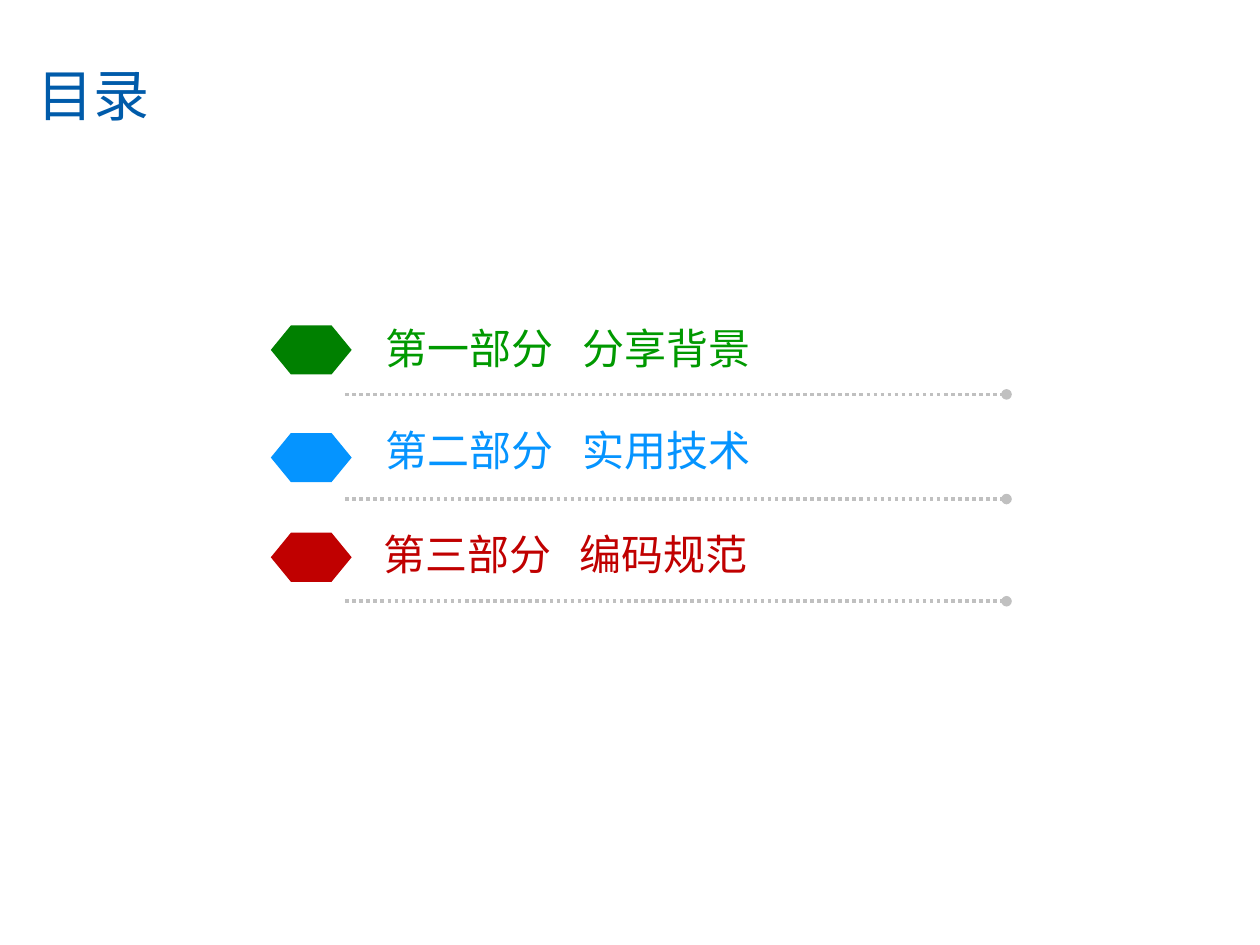
import pptx
import pptx.util
import pptx.dml.color
import pptx.enum.dml
import pptx.enum.shapes
import pptx.enum.text
import pptx.oxml

Cm = pptx.util.Cm
Pt = pptx.util.Pt
RGB = pptx.dml.color.RGBColor
NS = 'xmlns:a="http://schemas.openxmlformats.org/drawingml/2006/main"'

NAVY = RGB(0x00, 0x5B, 0xAA)
GRAY = RGB(0xC0, 0xC0, 0xC0)
GREEN = RGB(0x00, 0x80, 0x00)
LIME = RGB(0x00, 0x99, 0x00)
BLUE = RGB(0x05, 0x94, 0xFF)
RED = RGB(0xC0, 0x00, 0x00)
CJK = "Noto Sans CJK SC"

# Part, topic, fill, text colour, then hexagon top, text left, text top, rule height (cm)
ROWS = [
    ("第一部分", "分享背景", GREEN, LIME, 6.56, 6.96, 6.38, 7.95),
    ("第二部分", "实用技术", BLUE, BLUE, 8.73, 6.96, 8.43, 10.06),
    ("第三部分", "编码规范", RED, RED, 10.74, 6.91, 10.52, 12.12),
]


def xml(text):
    return pptx.oxml.parse_xml(text)


def label(slide, text, box, size, color, font, inset=0.25, tab=None):
    """Add a one-line text box, with an optional tab stop."""
    shape = slide.shapes.add_textbox(*(Cm(v) for v in box))
    frame = shape.text_frame
    frame.word_wrap = True
    frame.margin_left = Cm(inset)
    frame.text = text
    para = frame.paragraphs[0]
    if tab:
        stops = f'<a:tabLst {NS}><a:tab pos="{Cm(tab)}" algn="l"/></a:tabLst>'
        para._p.get_or_add_pPr().append(xml(stops))
    for run in para.runs:
        run.font.size = Pt(size)
        run.font.color.rgb = color
        run.font.name = font
        run._r.get_or_add_rPr().append(xml(f'<a:ea {NS} typeface="{CJK}"/>'))
    return frame


def hexagon(slide, top, color):
    kind = pptx.enum.shapes.MSO_SHAPE.HEXAGON
    shape = slide.shapes.add_shape(kind, Cm(5.46), Cm(top), Cm(1.63), Cm(0.99))
    shape.adjustments[0] = 0.41
    shape.shadow.inherit = False
    shape.fill.solid()
    shape.fill.fore_color.rgb = color
    shape.line.fill.background()


def rule(slide, y):
    """Add a dotted line that ends in a dot."""
    kind = pptx.enum.shapes.MSO_CONNECTOR.STRAIGHT
    line = slide.shapes.add_connector(kind, Cm(6.96), Cm(y), Cm(20.29), Cm(y))
    line.line.color.rgb = GRAY
    line.line.width = Pt(2)
    line.line.dash_style = pptx.enum.dml.MSO_LINE.ROUND_DOT
    line.line._get_or_add_ln().append(xml(f'<a:tailEnd {NS} type="oval"/>'))
    line._element.spPr.append(xml(f'<a:effectLst {NS}/>'))


def main():
    deck = pptx.Presentation()
    deck.slide_width, deck.slide_height = Cm(25.4), Cm(19.05)
    slide = deck.slides.add_slide(deck.slide_layouts[6])

    # Title
    head = label(slide, "目录", (0.51, 0.99, 23.6, 1.8), 32, NAVY, "Calibri")
    head.vertical_anchor = pptx.enum.text.MSO_ANCHOR.MIDDLE

    # Contents
    for part, topic, fill, color, top, left, high, y in ROWS:
        rule(slide, y)
        hexagon(slide, top, fill)
        label(slide, f"{part}\t{topic}", (left, high, 13.21, 1.37),
              24, color, CJK, inset=0.82, tab=3.96)

    deck.save("out.pptx")


if __name__ == "__main__":
    main()
